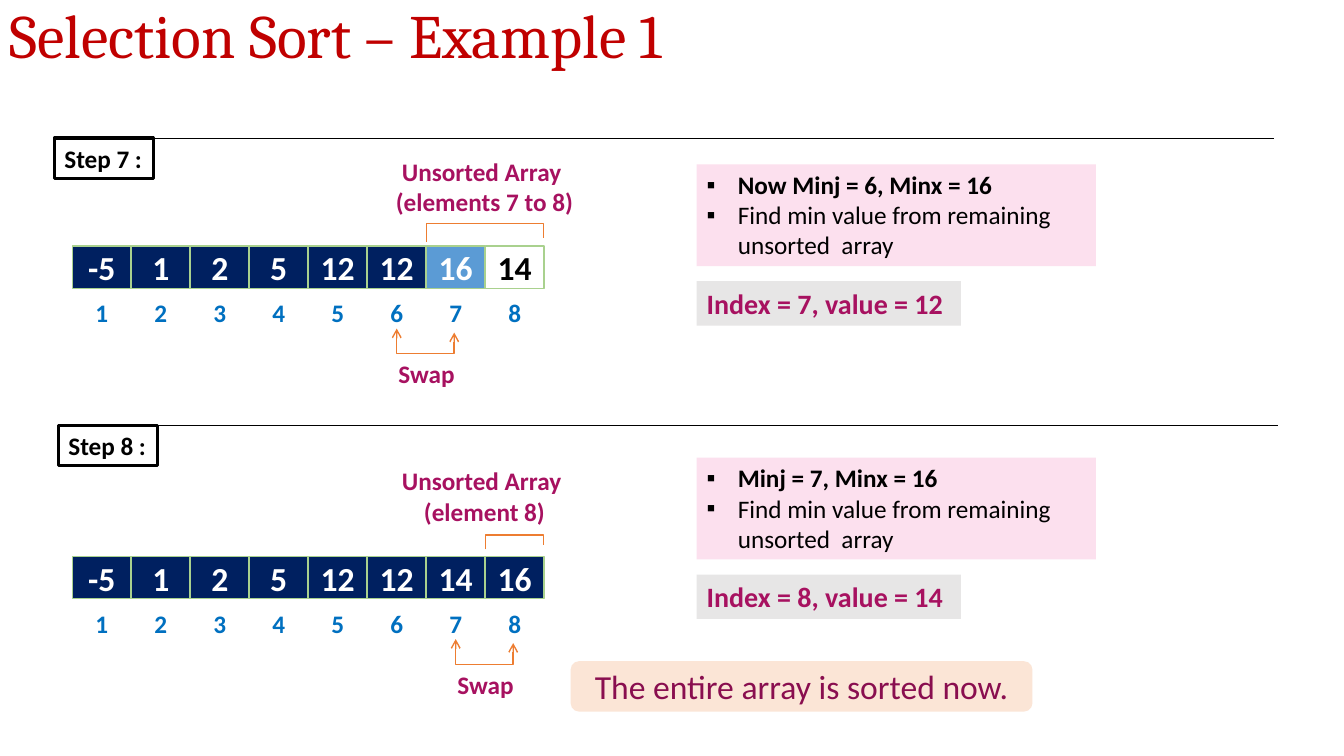
"""Build the slide showing steps 7 and 8 of a selection sort."""

from dataclasses import dataclass, replace
from typing import Optional

from lxml.etree import SubElement
from pptx import Presentation
from pptx.dml.color import RGBColor
from pptx.enum.shapes import MSO_CONNECTOR, MSO_SHAPE
from pptx.enum.text import MSO_ANCHOR, MSO_AUTO_SIZE, PP_ALIGN
from pptx.oxml.ns import qn
from pptx.util import Inches, Pt

BLACK = RGBColor(0x00, 0x00, 0x00)
WHITE = RGBColor(0xFF, 0xFF, 0xFF)
RED = RGBColor(0xC0, 0x00, 0x00)
NAVY = RGBColor(0x00, 0x20, 0x60)
SKY = RGBColor(0x5B, 0x9B, 0xD5)
BLUE = RGBColor(0x00, 0x70, 0xC0)
GREEN = RGBColor(0xA9, 0xD1, 0x8E)
ORANGE = RGBColor(0xED, 0x7D, 0x31)
MAGENTA = RGBColor(0xA7, 0x11, 0x60)
PLUM = RGBColor(0x89, 0x0E, 0x4F)
PINK = RGBColor(0xFC, 0xE0, 0xEE)
GRAY = RGBColor(0xE7, 0xE6, 0xE6)
PEACH = RGBColor(0xFB, 0xE5, 0xD6)

ARRAY_LEFT = 0.72
CELL_PITCH = 0.585
CELL_WIDTH = 0.58
CELL_HEIGHT = 0.42
PANEL_LEFT = 6.91


@dataclass(frozen=True)
class Box:
    left: float
    top: float
    width: float
    height: float


@dataclass(frozen=True)
class TextStyle:
    size: float
    color: RGBColor
    bold: bool = True
    name: str = "Calibri"
    alignment: PP_ALIGN = PP_ALIGN.LEFT
    anchor: MSO_ANCHOR = MSO_ANCHOR.TOP
    auto_size: MSO_AUTO_SIZE = MSO_AUTO_SIZE.SHAPE_TO_FIT_TEXT
    line_spacing: Optional[float] = None


@dataclass(frozen=True)
class Paint:
    fill: Optional[RGBColor] = None
    line: Optional[RGBColor] = None
    line_width: float = 1


@dataclass(frozen=True)
class Step:
    label: str
    label_left: float
    rule_top: float
    array_top: float
    values: tuple[int, ...]
    cell_colors: dict[int, tuple[RGBColor, RGBColor]]
    unsorted_text: tuple[str, str]
    unsorted_box: Box
    bracket_start: int
    bracket_top: float
    bracket_drop: float
    swap_start: int
    panel_top: float
    notes: tuple[str, str]
    result: str


TITLE = TextStyle(44, RED, False, "Cambria", auto_size=MSO_AUTO_SIZE.NONE, line_spacing=0.9)
LABEL = TextStyle(18, BLACK)
CAPTION = TextStyle(18, MAGENTA, alignment=PP_ALIGN.CENTER)
RESULT = TextStyle(20, MAGENTA)
CELL = TextStyle(24, WHITE, True, "Calibri", PP_ALIGN.CENTER, MSO_ANCHOR.MIDDLE, MSO_AUTO_SIZE.NONE)
INDEX = replace(CELL, size=18, color=BLUE)
CONCLUSION = replace(CELL, color=PLUM, bold=False)

STEPS = (
    Step("Step 7 :", 0.54, 1.37, 2.44, (-5, 1, 2, 5, 12, 12, 16, 14),
         {6: (SKY, WHITE), 7: (WHITE, BLACK)},
         ("Unsorted Array ", "(elements 7 to 8)"), Box(3.82, 1.5, 1.97, 0.71),
         6, 2.22, 0.18, 5, 1.63,
         ("Now Minj = 6, Minx = 16", "Find min value from remaining unsorted  array"),
         "Index = 7, value = 12"),
    Step("Step 8 :", 0.58, 4.22, 5.52, (-5, 1, 2, 5, 12, 12, 14, 16), {},
         ("Unsorted Array ", "(element 8)"), Box(3.88, 4.57, 1.85, 0.71),
         7, 5.31, 0.14, 6, 4.54,
         ("Minj = 7, Minx = 16", "Find min value from remaining unsorted  array"),
         "Index = 8, value = 14"),
)


def write_text(shape, lines: tuple[str, ...], style: TextStyle) -> None:
    """Fill a shape with one styled paragraph per line."""
    frame = shape.text_frame
    frame_format = {"word_wrap": True, "auto_size": style.auto_size, "vertical_anchor": style.anchor}
    font_format = {"name": style.name, "size": Pt(style.size), "bold": style.bold}
    for attribute, value in frame_format.items():
        setattr(frame, attribute, value)
    for number, line in enumerate(lines):
        paragraph = frame.add_paragraph() if number else frame.paragraphs[0]
        paragraph.alignment = style.alignment
        paragraph.line_spacing = style.line_spacing
        run = paragraph.add_run()
        run.text = line
        for attribute, value in font_format.items():
            setattr(run.font, attribute, value)
        run.font.color.rgb = style.color


def apply_paint(shape, paint: Paint) -> None:
    """Set fill and outline, and remove the shadow."""
    shape.shadow.inherit = False
    for target, color in ((shape.fill, paint.fill), (shape.line.fill, paint.line)):
        if color is None:
            target.background()
        else:
            target.solid()
            target.fore_color.rgb = color
    if paint.line is not None:
        shape.line.width = Pt(paint.line_width)


def add_box(slide, box: Box, lines: tuple[str, ...], style: TextStyle,
            paint: Paint, kind: MSO_SHAPE = MSO_SHAPE.RECTANGLE):
    """Draw a painted preset shape with text."""
    shape = slide.shapes.add_shape(
        kind, Inches(box.left), Inches(box.top), Inches(box.width), Inches(box.height))
    apply_paint(shape, paint)
    write_text(shape, lines, style)
    return shape


def add_text(slide, box: Box, lines: tuple[str, ...], style: TextStyle) -> None:
    """Draw a plain text box."""
    shape = slide.shapes.add_textbox(
        Inches(box.left), Inches(box.top), Inches(box.width), Inches(box.height))
    write_text(shape, lines, style)


def add_bracket(slide, points: list[tuple[float, float]], arrows: bool = False) -> None:
    """Draw an open orange outline, with arrowheads on request."""
    corners = [(Inches(x), Inches(y)) for x, y in points]
    builder = slide.shapes.build_freeform(*corners[0])
    builder.add_line_segments(corners[1:], close=False)
    shape = builder.convert_to_shape()
    apply_paint(shape, Paint(line=ORANGE))
    if arrows:
        line = shape.line.fill._xPr
        for end in ("a:headEnd", "a:tailEnd"):
            SubElement(line, qn(end)).set("type", "arrow")


def add_rule(slide, left: float, top: float) -> None:
    """Draw the thin line above a step."""
    rule = slide.shapes.add_connector(
        MSO_CONNECTOR.STRAIGHT, Inches(left), Inches(top), Inches(left + 12.1), Inches(top))
    rule.line.color.rgb = BLACK
    rule.line.width = Pt(0.5)
    SubElement(rule._element.spPr, qn("a:effectLst"))


def add_notes_panel(slide, step: Step) -> None:
    """Draw the bulleted panel and the result under it."""
    panel = add_box(slide, Box(PANEL_LEFT, step.panel_top, 3.96, 1.01), step.notes, LABEL, Paint(PINK))
    for paragraph in panel.text_frame.paragraphs:
        properties = paragraph._p.get_or_add_pPr()
        properties.set("marL", str(Inches(0.31)))
        properties.set("indent", str(-Inches(0.31)))
        SubElement(properties, qn("a:buFont")).set("typeface", "Arial")
        SubElement(properties, qn("a:buChar")).set("char", "▪")
    panel.text_frame.paragraphs[1].runs[0].font.bold = False
    add_box(slide, Box(PANEL_LEFT, step.panel_top + 1.16, 2.62, 0.44), (step.result,), RESULT, Paint(GRAY))


def add_step(slide, step: Step) -> None:
    """Draw one step with its array, markers and notes."""
    add_rule(slide, step.label_left, step.rule_top)
    add_box(slide, Box(step.label_left, step.rule_top, 0.98, 0.4), (step.label,), LABEL,
            Paint(line=BLACK, line_width=2.25))
    for position, value in enumerate(step.values):
        left = ARRAY_LEFT + position * CELL_PITCH
        fill, color = step.cell_colors.get(position, (NAVY, WHITE))
        cell = Box(left, step.array_top, CELL_WIDTH, CELL_HEIGHT)
        add_box(slide, cell, (str(value),), replace(CELL, color=color), Paint(fill, GREEN))
        add_box(slide, replace(cell, top=step.array_top + 0.45), (str(position + 1),), INDEX, Paint(WHITE))
    left, right = ARRAY_LEFT + step.bracket_start * CELL_PITCH, 5.39
    top, bottom = step.bracket_top, step.bracket_top + step.bracket_drop
    add_bracket(slide, [(left, bottom), (left, top), (right, top), (right, bottom - 0.04)])
    add_text(slide, step.unsorted_box, step.unsorted_text, CAPTION)
    left = ARRAY_LEFT + step.swap_start * CELL_PITCH + CELL_WIDTH / 2
    right, top = left + 0.57, step.array_top + 0.82
    bottom = top + 0.25
    add_bracket(slide, [(left, top), (left, bottom), (right, bottom), (right, top + 0.04)], True)
    add_text(slide, Box(left - 0.2, bottom, 0.99, 0.4), ("Swap",), CAPTION)
    add_notes_panel(slide, step)


def main() -> None:
    """Assemble and save the presentation."""
    presentation = Presentation()
    presentation.slide_width, presentation.slide_height = Inches(13.33), Inches(7.5)
    slide = presentation.slides.add_slide(presentation.slide_layouts[6])
    add_text(slide, Box(0, 0, 13.33, 0.78), ("Selection Sort – Example 1",), TITLE)
    for step in STEPS:
        add_step(slide, step)
    add_box(slide, Box(5.66, 6.56, 4.58, 0.5), ("The entire array is sorted now.",), CONCLUSION,
            Paint(PEACH), MSO_SHAPE.ROUNDED_RECTANGLE)
    presentation.save("out.pptx")


if __name__ == "__main__":
    main()
